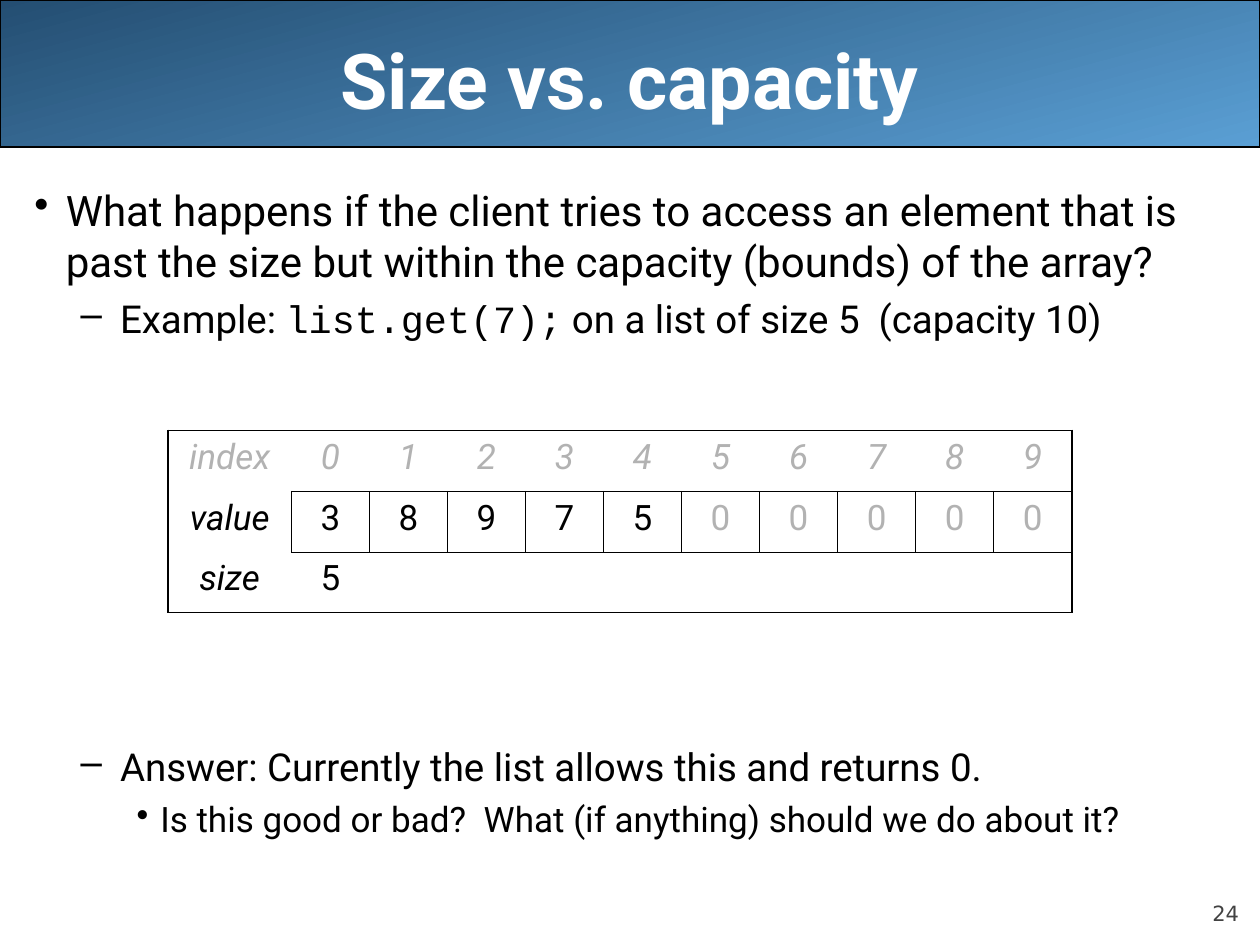
import pptx
import pptx.dml.color
import pptx.enum.shapes
import pptx.enum.text
import pptx.oxml.ns
import pptx.util
from lxml import etree

Pt = pptx.util.Pt
ALIGN = pptx.enum.text.PP_ALIGN
ANCHOR = pptx.enum.text.MSO_ANCHOR
qn = pptx.oxml.ns.qn

BLACK, WHITE, GREY, DARK_GREY = "000000", "FFFFFF", "B2B2B2", "424242"
SANS, CODE, NUMBER_FONT = "Roboto", "Courier New", "DejaVu Sans"
THICK, THIN = 1.08, 0.45


def colour(hex_string):
    return pptx.dml.color.RGBColor.from_string(hex_string)


def write(paragraph, text, size=20, color=BLACK, font=SANS, bold=False,
          italic=False, align=ALIGN.LEFT):
    """Add one formatted run to a paragraph."""
    paragraph.alignment = align
    run = paragraph.add_run()
    run.text = text
    run.font.size = Pt(size)
    run.font.name = font
    run.font.bold = bold
    run.font.italic = italic
    run.font.color.rgb = colour(color)


class Deck:
    # Level: (left margin, first-line indent, bullet, text size)
    LEVELS = [(18, -18, "•", 24), (49, -22.5, "–", 22), (72, -13.5, "•", 20)]

    def __init__(self, width, height):
        self.presentation = pptx.Presentation()
        self.presentation.slide_width = Pt(width)
        self.presentation.slide_height = Pt(height)
        self.slide = None

    def add_slide(self):
        title_only = self.presentation.slide_layouts[5]
        self.slide = self.presentation.slides.add_slide(title_only)

    def banner(self, width, height, start, end, angle):
        band = self.slide.shapes.add_shape(
            pptx.enum.shapes.MSO_SHAPE.RECTANGLE, 0, 0, Pt(width), Pt(height))
        band.shadow.inherit = False
        band.fill.gradient()
        band.fill.gradient_angle = angle
        for stop, shade, position in zip(band.fill.gradient_stops, (start, end), (0, 1)):
            stop.color.rgb = colour(shade)
            stop.position = position
        band.line.color.rgb = colour(BLACK)
        band.line.width = Pt(0.75)
        # Send the band behind the title
        self.slide.shapes._spTree.insert(2, band._element)

    def title(self, text, left, top, width, height):
        heading = self.slide.shapes.title
        heading.left, heading.top = Pt(left), Pt(top)
        heading.width, heading.height = Pt(width), Pt(height)
        heading.text_frame.vertical_anchor = ANCHOR.MIDDLE
        write(heading.text_frame.paragraphs[0], text, size=44, color=WHITE,
              bold=True, align=ALIGN.CENTER)

    def text_box(self, left, top, width, height):
        box = self.slide.shapes.add_textbox(Pt(left), Pt(top), Pt(width), Pt(height))
        box.text_frame.word_wrap = True
        return box.text_frame

    def bullets(self, items, left, top, width, height):
        """Each item is (level, space before, [(text, font), ...])."""
        frame = self.text_box(left, top, width, height)
        for number, (level, space, pieces) in enumerate(items):
            paragraph = frame.add_paragraph() if number else frame.paragraphs[0]
            margin, indent, mark, size = self.LEVELS[level]
            properties = paragraph._p.get_or_add_pPr()
            properties.set("marL", str(Pt(margin)))
            properties.set("indent", str(Pt(indent)))
            etree.SubElement(properties, qn("a:buChar"), char=mark)
            paragraph.level = level
            if number:
                paragraph.space_before = Pt(space)
            for text, font in pieces:
                write(paragraph, text, size=size, font=font)

    def page_number(self, text, left, top, width, height):
        frame = self.text_box(left, top, width, height)
        frame.margin_left = frame.margin_right = 0
        frame.margin_top = frame.margin_bottom = 0
        frame.vertical_anchor = ANCHOR.BOTTOM
        write(frame.paragraphs[0], text, size=12, color=DARK_GREY,
              font=NUMBER_FONT, align=ALIGN.RIGHT)

    def borders(self, cell, widths):
        """Draw the left, right, top and bottom edges; a width of 0 is no line."""
        properties = cell._tc.get_or_add_tcPr()
        for side, width in zip("LRTB", widths):
            edge = etree.SubElement(properties, qn(f"a:ln{side}"), w=str(Pt(width)))
            if width:
                fill = etree.SubElement(edge, qn("a:solidFill"))
                etree.SubElement(fill, qn("a:srgbClr"), val=BLACK)
            else:
                etree.SubElement(edge, qn("a:noFill"))

    def array_table(self, rows, size, left, top, label_width, cell_width, row_height):
        last_row, last_column = len(rows) - 1, len(rows[0]) - 1
        table = self.slide.shapes.add_table(
            len(rows), len(rows[0]), Pt(left), Pt(top),
            Pt(label_width + cell_width * last_column),
            Pt(row_height * len(rows))).table
        table.first_row = table.horz_banding = False
        for c, column in enumerate(table.columns):
            column.width = Pt(cell_width if c else label_width)

        def boxed(r, c):
            return r == 1 and 1 <= c <= last_column

        def edge(r, c, row_step, column_step):
            neighbour = r + row_step, c + column_step
            if not (0 <= neighbour[0] <= last_row and 0 <= neighbour[1] <= last_column):
                return THICK
            return THIN if boxed(r, c) or boxed(*neighbour) else 0

        for r, values in enumerate(rows):
            table.rows[r].height = Pt(row_height)
            for c, value in enumerate(values):
                cell = table.cell(r, c)
                self.borders(cell, [edge(r, c, *step) for step in
                                    ((0, -1), (0, 1), (-1, 0), (1, 0))])
                cell.fill.background()
                if value:
                    unused = r == 0 or (r == 1 and c > size)
                    write(cell.text_frame.paragraphs[0], value,
                          color=GREY if unused else BLACK,
                          italic=r == 0 or c == 0, align=ALIGN.CENTER)


def main():
    deck = Deck(720, 540)
    deck.add_slide()

    # Heading
    deck.banner(720, 84, "244E72", "5A9FD4", angle=285)
    deck.title("Size vs. capacity", 36, 0, 648, 90)

    # Question and answer, with room for the array between them
    deck.bullets([
        (0, 0, [("What happens if the client tries to access an element that is "
                 "past the size but within the capacity (bounds) of the array?", SANS)]),
        (1, 5.5, [("Example: ", SANS), ("list.get(7);", CODE),
                  (" on a list of size 5  (capacity 10)", SANS)]),
        (1, 229.5, [("Answer: Currently the list allows this and returns 0.", SANS)]),
        (2, 5, [("Is this good or bad?  What (if anything) should we do about it?", SANS)]),
    ], 12.5, 102, 707.5, 408)

    # Array of capacity 10 holding 5 elements
    elements, capacity = ["3", "8", "9", "7", "5"], 10
    size = len(elements)
    deck.array_table([
        ["index"] + [str(i) for i in range(capacity)],
        ["value"] + elements + ["0"] * (capacity - size),
        ["size", str(size)] + [""] * (capacity - 1),
    ], size, left=96, top=246, label_width=70.5, cell_width=44.6, row_height=34.7)

    # Footer
    deck.page_number("24", 648, 500.5, 60, 28.5)

    deck.presentation.save("out.pptx")


if __name__ == "__main__":
    main()
